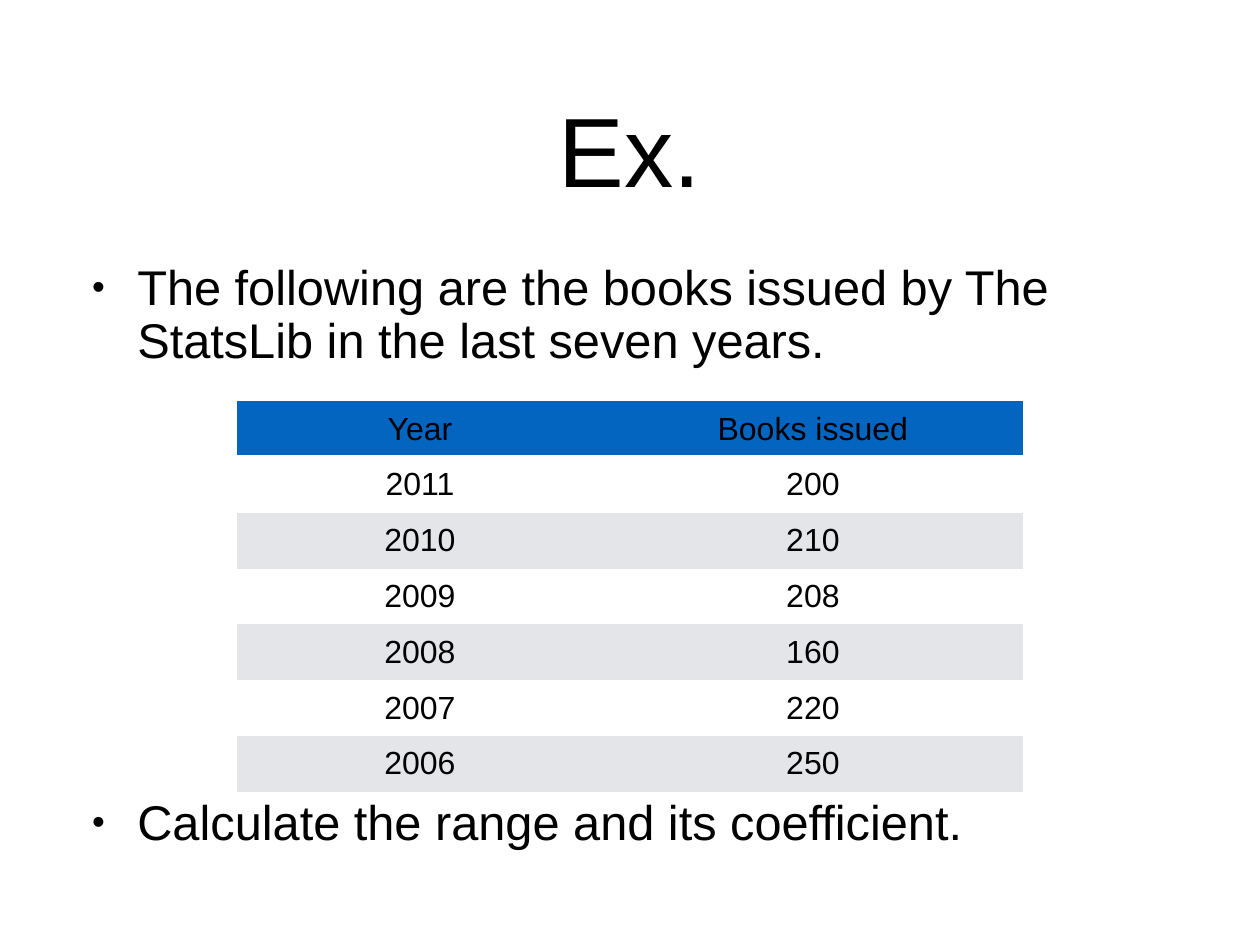
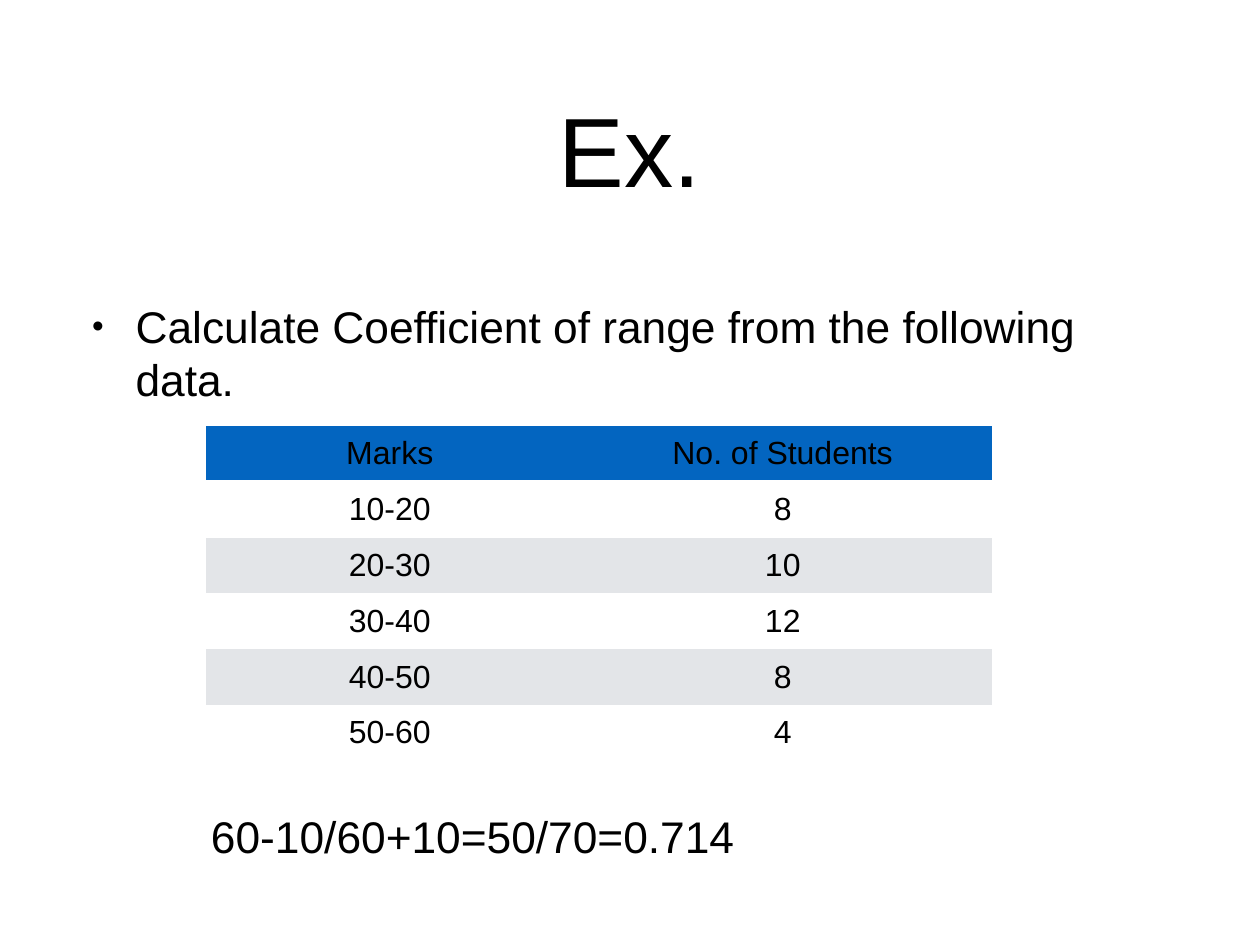
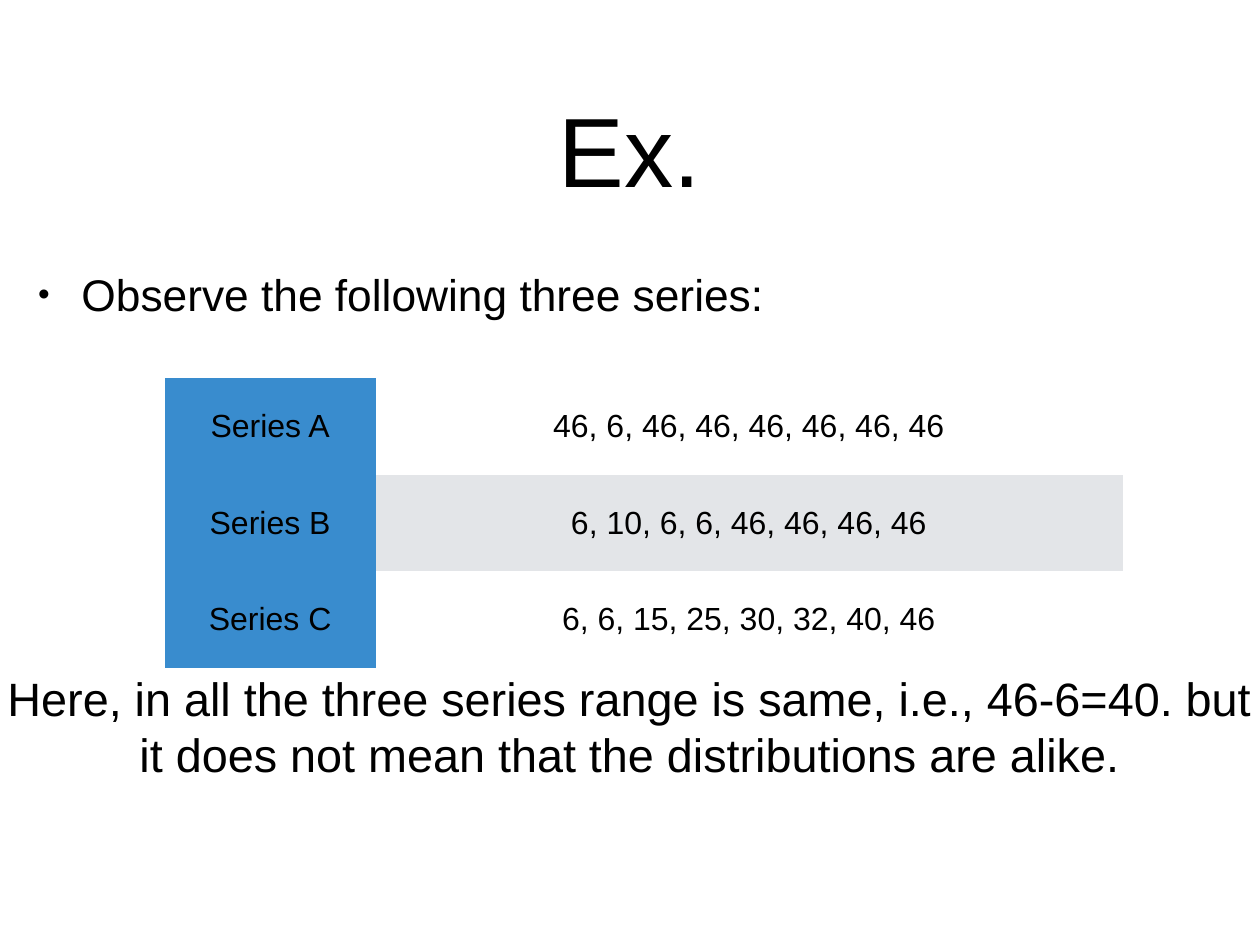
from lxml import etree
from pptx import Presentation
from pptx.dml.color import RGBColor
from pptx.enum.text import MSO_ANCHOR, PP_ALIGN
from pptx.oxml.ns import qn
from pptx.util import Inches, Pt

LEFT, CENTER = PP_ALIGN.LEFT, PP_ALIGN.CENTER
MIDDLE = MSO_ANCHOR.MIDDLE
FONT = "Arial"
BLACK, WHITE, GREY = "000000", "FFFFFF", "E3E5E8"
HEADER_BLUE, SERIES_BLUE = "0365C0", "398CCE"
NO_TABLE_STYLE = "{2D5ABB26-0587-4C30-8999-92F81FD0307C}"
SLIDE_WIDTH, SLIDE_HEIGHT = 14.22, 10.67
TITLE_BOX = (1.04, 0.49, 12.14, 2.36)
SIDES = ("left", "top", "right", "bottom")


def color(value):
    """Return the colour for a hex string."""
    return RGBColor.from_string(value)


def apply(target, values):
    """Set each attribute in a dict on the target."""
    for name, value in values.items():
        setattr(target, name, value)


def format_paragraph(paragraph, text, size, values):
    """Write a paragraph in the shared font with the given format values."""
    paragraph.text = text
    apply(paragraph, values)
    apply(paragraph.font, {"name": FONT, "size": Pt(size)})
    paragraph.font.color.rgb = color(BLACK)


def add_bullet(paragraph, indent):
    """Give a paragraph a small round bullet and a hanging indent."""
    properties = paragraph._p.get_or_add_pPr()
    properties.set("marL", str(Inches(indent)))
    properties.set("indent", str(-Inches(indent)))
    etree.SubElement(properties, qn("a:buSzPct")).set("val", "75000")
    etree.SubElement(properties, qn("a:buFont")).set("typeface", FONT)
    etree.SubElement(properties, qn("a:buChar")).set("char", "•")


def add_text_frame(slide, box, inset=0, wrap=True):
    """Add a vertically centred text box and return its frame."""
    frame = slide.shapes.add_textbox(*map(Inches, box)).text_frame
    apply(frame, {"word_wrap": wrap, "vertical_anchor": MIDDLE})
    apply(frame, {f"margin_{side}": Inches(inset) for side in SIDES})
    return frame


def add_note(slide, box, text, size, wrap=True):
    """Add a centred line of explanation."""
    frame = add_text_frame(slide, box, 0.06, wrap)
    format_paragraph(frame.paragraphs[0], text, size, {"alignment": CENTER})


def add_bullets(slide, box, texts, size=36, indent=0.49, spacing=1.0, gap=0):
    """Add bulleted paragraphs with a gap in points between them."""
    frame = add_text_frame(slide, box)
    for index, text in enumerate(texts):
        paragraph = frame.add_paragraph() if index else frame.paragraphs[0]
        add_bullet(paragraph, indent)
        format_paragraph(paragraph, text, size, {
            "alignment": LEFT, "line_spacing": spacing,
            "space_before": Pt(gap if index else 0)})


def add_bottom_border(cell):
    """Draw a white rule under a cell."""
    line = etree.Element(qn("a:lnB"), w=str(Pt(3)))
    fill = etree.SubElement(line, qn("a:solidFill"))
    etree.SubElement(fill, qn("a:srgbClr")).set("val", WHITE)
    cell._tc.get_or_add_tcPr().insert(0, line)


def add_data_table(slide, left, top, widths, row_height, rows, header_row):
    """Add a banded table headed by its first row or its first column."""
    box = (left, top, sum(widths), row_height * len(rows))
    table = slide.shapes.add_table(
        len(rows), len(widths), *map(Inches, box)).table
    table._tbl.tblPr.find(qn("a:tableStyleId")).text = NO_TABLE_STYLE
    for column, width in zip(table.columns, widths):
        column.width = Inches(width)
    for row_index, values in enumerate(rows):
        table.rows[row_index].height = Inches(row_height)
        band = WHITE
        if header_row and row_index == 0:
            band = HEADER_BLUE
        elif (row_index - header_row) % 2 == 1:
            band = GREY
        for column_index, text in enumerate(values):
            cell = table.cell(row_index, column_index)
            heads_row = not header_row and column_index == 0
            cell.fill.solid()
            cell.fill.fore_color.rgb = color(SERIES_BLUE if heads_row else band)
            apply(cell, {f"margin_{side}": Inches(0.05) for side in SIDES})
            cell.vertical_anchor = MIDDLE
            format_paragraph(cell.text_frame.paragraphs[0], text, 26,
                             {"alignment": CENTER})
            if header_row and row_index == 0:
                add_bottom_border(cell)


def add_example_slide(presentation):
    """Add a white slide with the shared title."""
    slide = presentation.slides.add_slide(presentation.slide_layouts[6])
    slide.background.fill.solid()
    slide.background.fill.fore_color.rgb = color(WHITE)
    title = add_text_frame(slide, TITLE_BOX).paragraphs[0]
    format_paragraph(title, "Ex.", 80, {"alignment": CENTER})
    return slide


def build_books_slide(presentation):
    """Build the exercise on books issued each year."""
    slide = add_example_slide(presentation)
    add_bullets(slide, (1.04, 2.85, 12.14, 6.88), [
        "The following are the books issued by The StatsLib in the last seven years.",
        "Calculate the range and its coefficient.",
    ], size=39.6, indent=0.51, spacing=0.9, gap=349)
    add_data_table(slide, 2.67, 4.53, (4.14, 4.73), 0.63, [
        ("Year", "Books issued"), ("2011", "200"), ("2010", "210"),
        ("2009", "208"), ("2008", "160"), ("2007", "220"), ("2006", "250"),
    ], header_row=True)


def build_marks_slide(presentation):
    """Build the exercise on grouped marks."""
    slide = add_example_slide(presentation)
    add_bullets(slide, (1.04, 2.85, 12.14, 2.26), [
        "Calculate Coefficient of range from the following data."])
    add_data_table(slide, 2.33, 4.81, (4.14, 4.73), 0.63, [
        ("Marks", "No. of Students"), ("10-20", "8"), ("20-30", "10"),
        ("30-40", "12"), ("40-50", "8"), ("50-60", "4"),
    ], header_row=True)
    add_note(slide, (2.26, 9.08, 6.15, 0.71), "60-10/60+10=50/70=0.714", 36,
             wrap=False)


def build_series_slide(presentation):
    """Build the comparison of three series with one range."""
    slide = add_example_slide(presentation)
    add_bullets(slide, (0.43, 2.85, 12.14, 0.94), [
        "Observe the following three series:"])
    add_data_table(slide, 1.86, 4.27, (2.38, 8.43), 1.09, [
        ("Series A", "46, 6, 46, 46, 46, 46, 46, 46"),
        ("Series B", "6, 10, 6, 6, 46, 46, 46, 46"),
        ("Series C", "6, 6, 15, 25, 30, 32, 40, 46"),
    ], header_row=False)
    add_note(slide, (0, 7.5, SLIDE_WIDTH, 1.39),
             "Here, in all the three series range is same, i.e., 46-6=40. "
             "but it does not mean that the distributions are alike.", 38)


def main():
    """Build and save the presentation."""
    presentation = Presentation()
    apply(presentation, {"slide_width": Inches(SLIDE_WIDTH),
                         "slide_height": Inches(SLIDE_HEIGHT)})
    for build in (build_books_slide, build_marks_slide, build_series_slide):
        build(presentation)
    presentation.save("out.pptx")


if __name__ == "__main__":
    main()
